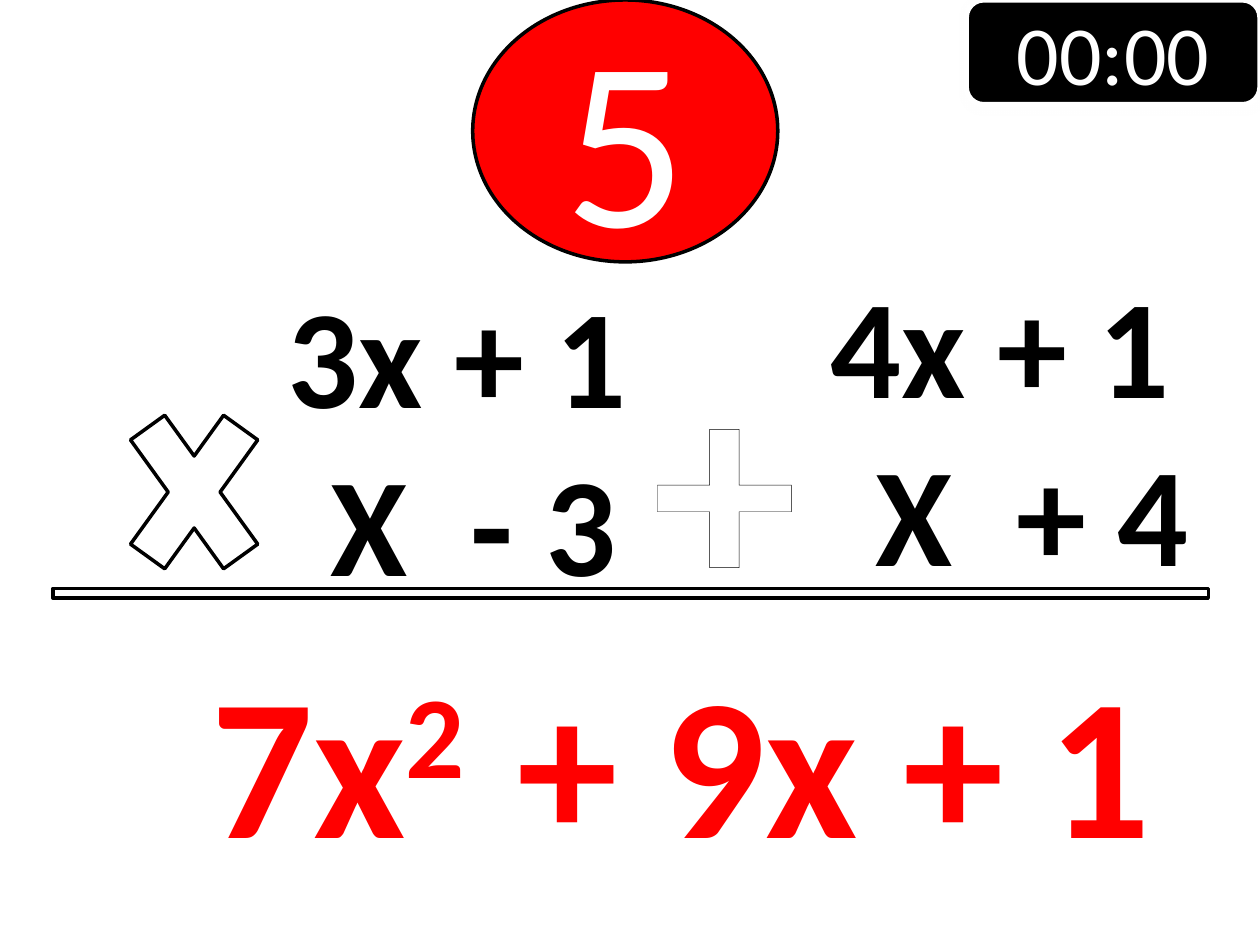
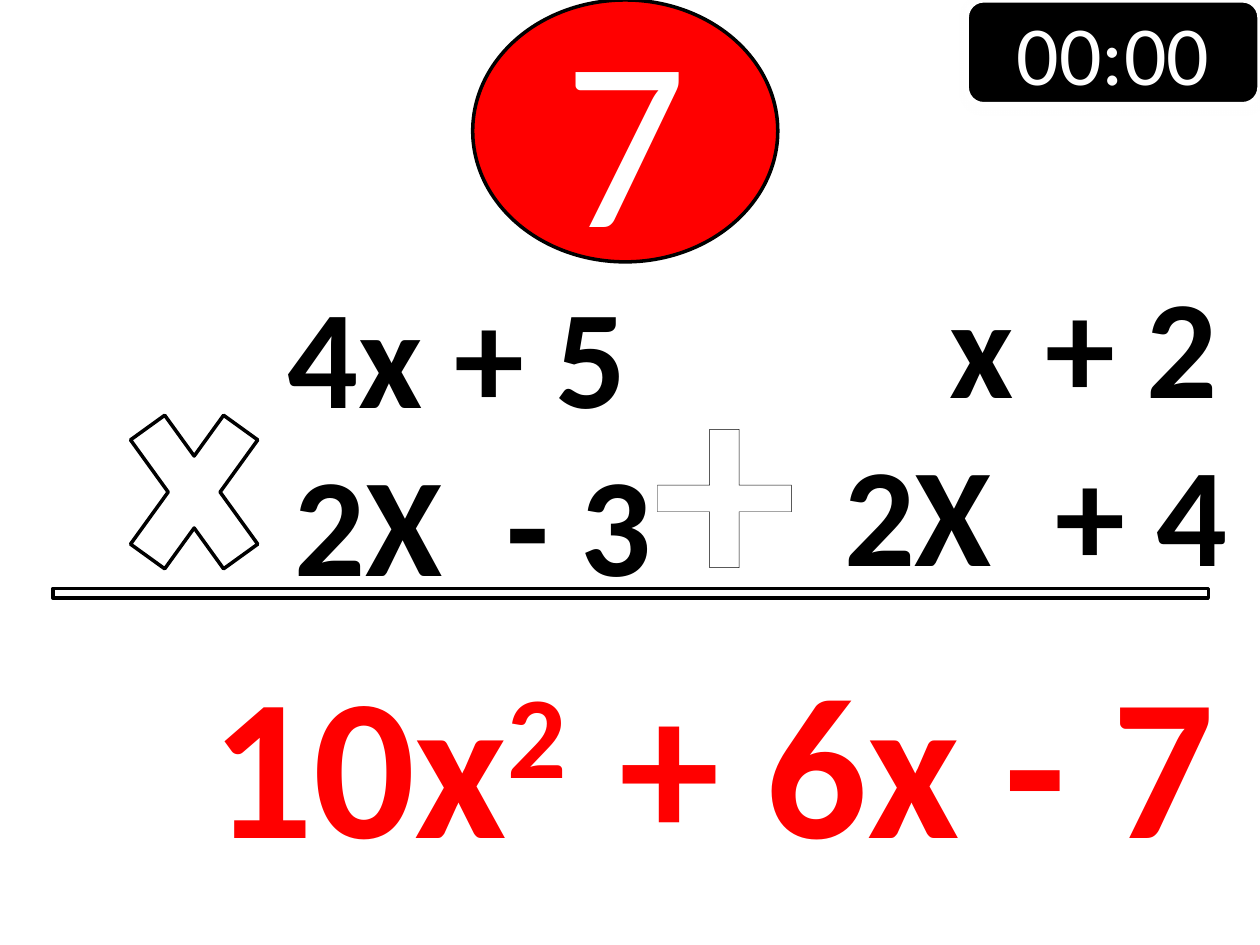
from lxml.etree import SubElement
from pptx import Presentation
from pptx.dml.color import RGBColor
from pptx.enum.shapes import MSO_SHAPE as SHAPE
from pptx.enum.text import MSO_ANCHOR as ANCHOR, MSO_AUTO_SIZE as AUTO, PP_ALIGN as ALIGN
from pptx.oxml.ns import qn
from pptx.util import Cm, Pt

RED = RGBColor(0xFF, 0, 0)
BLACK = RGBColor(0, 0, 0)
WHITE = RGBColor(0xFF, 0xFF, 0xFF)
FONT = "Calibri"
SPACE = 0.64


def solid(parent, color):
    fill = SubElement(parent, qn("a:solidFill"))
    return SubElement(fill, qn("a:srgbClr"), val=str(color))


class Deck:
    def __init__(self):
        self.prs = Presentation()
        self.prs.slide_width, self.prs.slide_height = Cm(25.4), Cm(19.05)

    def new_slide(self):
        self.slide = self.prs.slides.add_slide(self.prs.slide_layouts[6])

    def shape(self, kind, box, fill=WHITE, line=BLACK, width=2):
        sp = self.slide.shapes.add_shape(kind, *map(Cm, box))
        sp.shadow.inherit = False
        sp.fill.solid()
        sp.fill.fore_color.rgb = fill
        sp.line.color.rgb = line
        sp.line.width = Pt(width)
        return sp

    def style(self, p, size, color, bold=False, align=ALIGN.CENTER):
        p.alignment = align
        p.font.name, p.font.size, p.font.bold = FONT, Pt(size), bold
        p.font.color.rgb = color

    def run(self, p, text, outline, baseline=0):
        r = p.add_run()
        r.text = text
        rPr = r._r.get_or_add_rPr()
        if baseline:
            rPr.set("baseline", str(baseline * 1000))
        solid(SubElement(rPr, qn("a:ln"), w=str(Pt(1.45))), outline)

    def label(self, sp, text, size):
        tf = sp.text_frame
        tf.vertical_anchor = ANCHOR.MIDDLE
        tf.text = text
        self.style(tf.paragraphs[0], size, WHITE)

    def text_box(self, box, wrap=False):
        tf = self.slide.shapes.add_textbox(*map(Cm, box)).text_frame
        tf.word_wrap = wrap
        tf.auto_size = AUTO.SHAPE_TO_FIT_TEXT
        return tf

    def number(self, text):
        self.label(self.shape(SHAPE.OVAL, (9.53, 0, 6.15, 5.28), RED), text, 138)

    def clock(self):
        sp = self.shape(SHAPE.ROUNDED_RECTANGLE, (19.48, 0, 5.92, 2.11), BLACK, WHITE, 3)
        self.label(sp, "00:00", 48)
        effects = sp._element.spPr.find(qn("a:effectLst"))
        shadow = SubElement(effects, qn("a:outerShdw"), blurRad=str(Pt(3.1)),
                            dist=str(Pt(1.6)), dir="5400000", rotWithShape="0")
        SubElement(solid(shadow, BLACK), qn("a:alpha"), val="38000")

    def binomials(self, box, lines):
        tf = self.text_box(box)
        for i, (text, before, after) in enumerate(lines):
            p = tf.add_paragraph() if i else tf.paragraphs[0]
            self.style(p, 80, BLACK, True)
            self.run(p, text, BLACK)
            pPr = p._p.get_or_add_pPr()
            pPr.set("marL", str(Cm(before * SPACE)))
            pPr.set("marR", str(Cm(after * SPACE)))

    def signs(self):
        self.shape(SHAPE.RECTANGLE, (1.07, 11.86, 23.29, 0.2))
        self.shape(SHAPE.MATH_MULTIPLY, (2.11, 7.42, 3.61, 5))
        p = self.text_box((12.9, 5.92, 3.38, 7.34), True).paragraphs[0]
        self.style(p, 166, WHITE, True)
        self.run(p, "+", BLACK)

    def answer(self, width, square, rest):
        tf = self.text_box((4.01, 12.7, width, 5.18))
        tf.vertical_anchor = ANCHOR.MIDDLE
        p = tf.paragraphs[0]
        self.style(p, 115, RED, True, ALIGN.LEFT)
        self.run(p, square, RED)
        self.run(p, "2  ", RED, 30)
        self.run(p, rest, RED)

    def problem(self, number, left, right, right_width, answer):
        self.new_slide()
        self.number(number)
        self.clock()
        self.binomials((5.51, 5.28, 8.71, 7.09), left)
        self.signs()
        self.binomials((16.08, 5.08, right_width, 7.09), right)
        self.answer(*answer)


deck = Deck()
deck.problem("5", [("3x + 1", 0, 2), ("X  - 3", 0, 1)],
             [("4x + 1", 0, 0), ("X  + 4", 2, 0)], 8.18,
             (19.99, "7x", "+ 9x + 1"))
deck.problem("7", [("4x + 5", 0, 2), ("2X  - 3", 0, 1)],
             [("x + 2", 4, 0), ("2X  + 4", 1, 0)], 8.97,
             (21.29, "10x", "+ 6x - 7"))
deck.prs.save("out.pptx")
